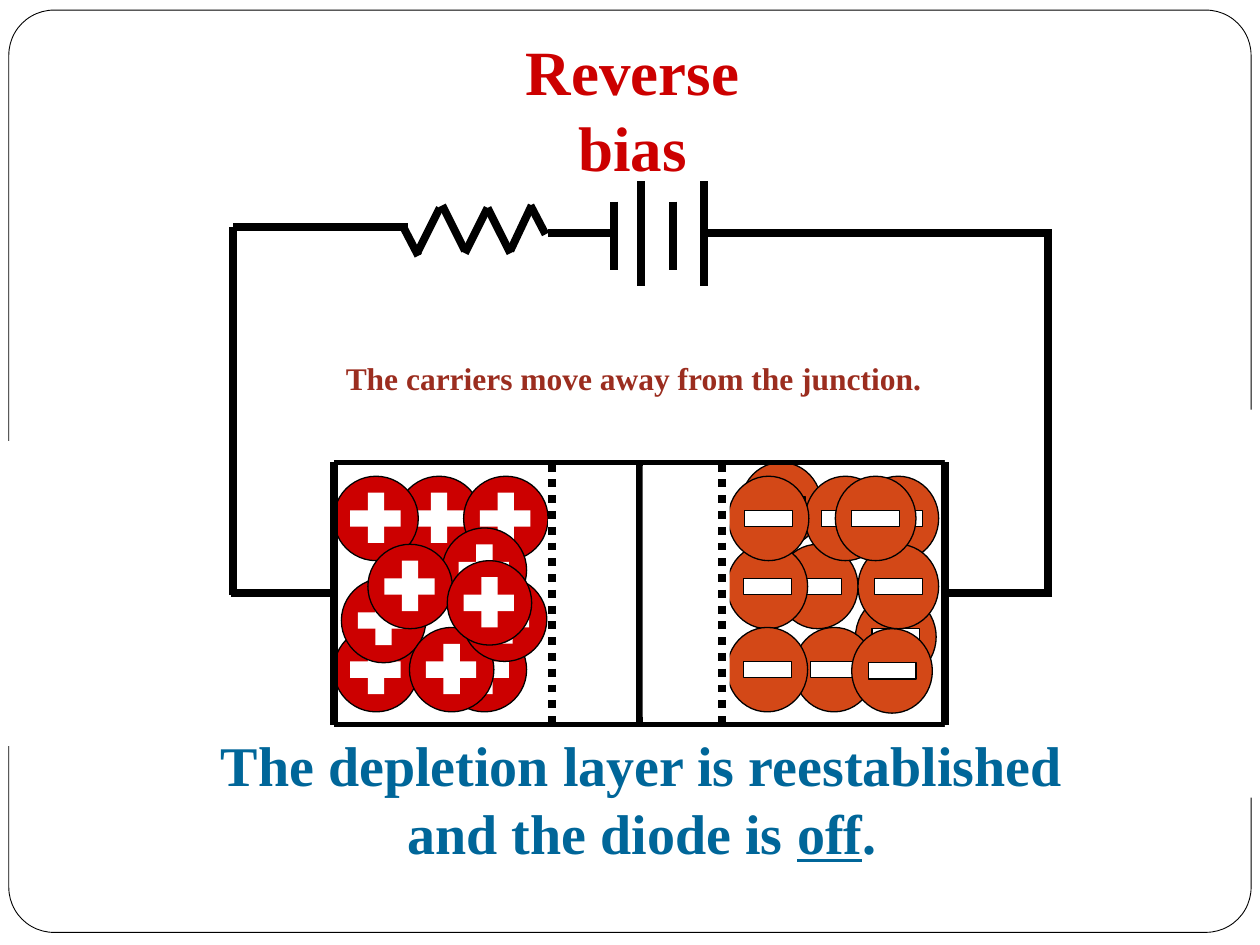
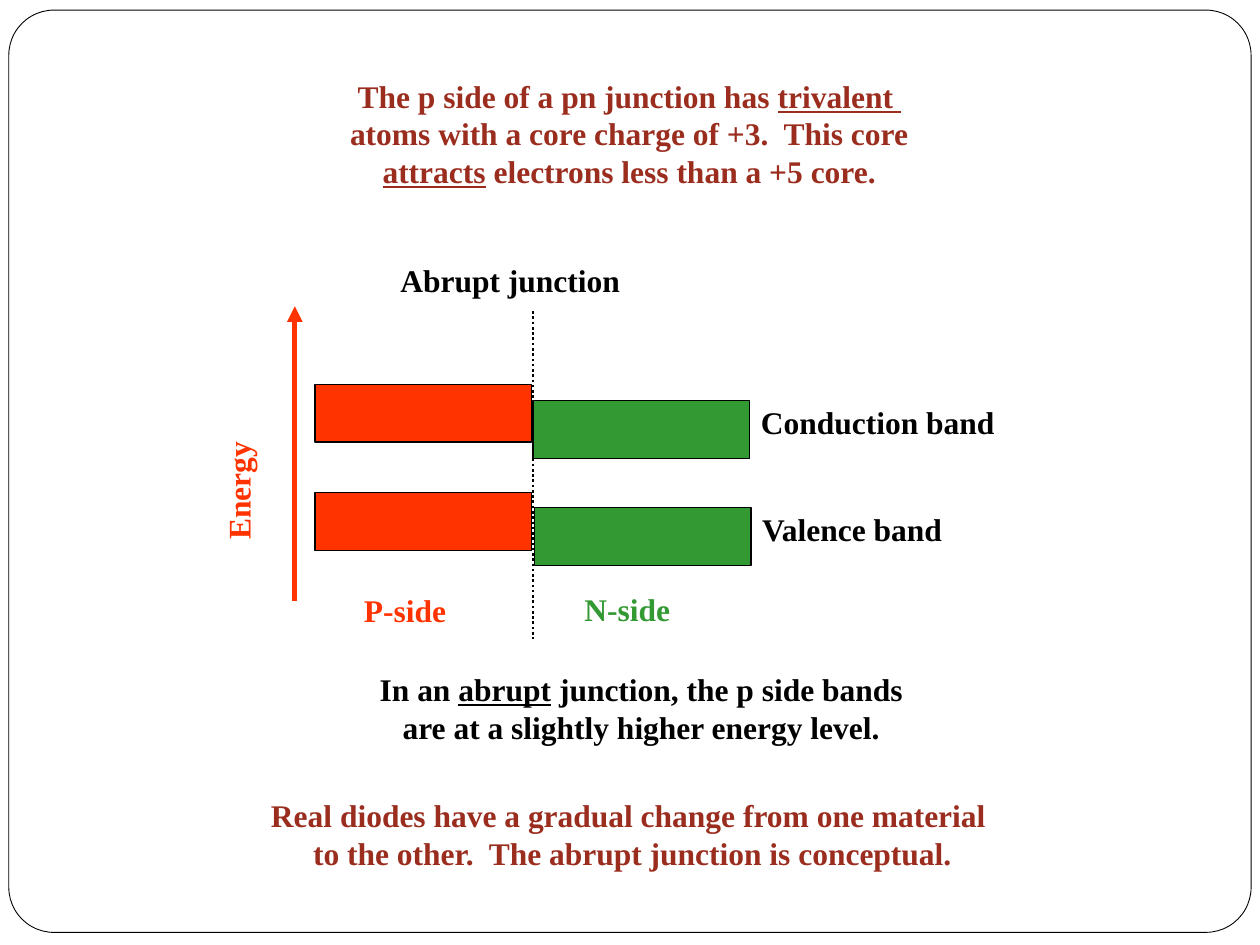
"""Builds two slides on a reverse-biased diode and the energy bands of an abrupt junction."""
from dataclasses import dataclass

from pptx import Presentation
from pptx.dml.color import RGBColor
from pptx.enum import dml, shapes, text
from pptx.oxml.ns import qn
from pptx import util as u
from lxml import etree

PX = 9144


@dataclass(frozen=True)
class Theme:
    """Colours, type sizes and line widths of the deck."""
    font: str = "Times New Roman"
    black: str = "000000"
    white: str = "FFFFFF"
    title: str = "CC0000"
    note: str = "9B2D1F"
    conclusion: str = "006699"
    hole: str = "CC0000"
    electron: str = "D34817"
    p_side: str = "FF3300"
    n_side: str = "339933"
    title_size: int = 36
    conclusion_size: int = 32
    body_size: int = 18
    hairline: float = 0.5
    outline: float = 0.75
    dotted: float = 1.5
    medium: float = 3
    wire: float = 4.5


class Sketch:
    """Draws styled elements on the current slide."""

    def __init__(self, theme):
        """Starts an empty deck of 1000 by 750 px."""
        self.theme = theme
        self.deck = Presentation()
        self.deck.slide_width, self.deck.slide_height = 1000 * PX, 750 * PX
        self.page = None

    def new_page(self, title=None, at=None):
        """Adds a slide, with a title when one is given."""
        self.page = self.deck.slides.add_slide(self.deck.slide_layouts[5 if title else 6])
        if title:
            box = self.page.shapes.title
            box.left, box.top, box.width, box.height = (n * PX for n in at)
            self.set_text(box, [title], self.theme.title, self.theme.title_size,
                          centred=True, middle=True)

    def frame(self):
        """Puts the rounded frame on the slide master."""
        frame = self.shape((7, 8, 986, 732), self.theme.white, self.theme.hairline,
                           kind=shapes.MSO_SHAPE.ROUNDED_RECTANGLE)
        frame.adjustments[0] = 0.049
        frame.element.nvSpPr.cNvPr.set("id", "100")
        self.deck.slide_master.shapes.element.insert(2, frame.element)

    def shape(self, at, fill=None, width=None, kind=shapes.MSO_SHAPE.RECTANGLE, parent=None):
        """Adds a preset shape with an optional fill and black outline."""
        shape = (parent or self.page).shapes.add_shape(kind, *(n * PX for n in at))
        shape.shadow.inherit = False
        if fill:
            shape.fill.solid()
            shape.fill.fore_color.rgb = RGBColor.from_string(fill)
        else:
            shape.fill.background()
        if width:
            shape.line.color.rgb = RGBColor.from_string(self.theme.black)
            shape.line.width = u.Pt(width)
        else:
            shape.line.fill.background()
        return shape

    def line(self, x1, y1, x2, y2, width=None, colour=None, dotted=False, arrow=False):
        """Adds a straight line."""
        line = self.page.shapes.add_connector(
            shapes.MSO_CONNECTOR.STRAIGHT, *(n * PX for n in (x1, y1, x2, y2)))
        line.line.color.rgb = RGBColor.from_string(colour or self.theme.black)
        line.line.width = u.Pt(width or self.theme.wire)
        if dotted:
            line.line.dash_style = dml.MSO_LINE.ROUND_DOT
        properties = line.element.spPr
        if arrow:
            etree.SubElement(properties.find(qn("a:ln")), qn("a:tailEnd"), type="triangle")
        etree.SubElement(properties, qn("a:effectLst"))
        return line

    def carrier(self, x, y, size, colour, bars, bar_width=None):
        """Adds a charge carrier, a disc with its sign made of bars."""
        group = self.page.shapes.add_group_shape()
        self.shape((x, y, *size), colour, self.theme.outline, shapes.MSO_SHAPE.OVAL, group)
        for dx, dy, width, height in bars:
            self.shape((x + dx, y + dy, width, height), self.theme.white, bar_width, parent=group)

    def label(self, at, lines, colour, size=None, centred=False, middle=False, rotation=0):
        """Adds a text box."""
        box = self.page.shapes.add_textbox(*(n * PX for n in at))
        box.rotation = rotation
        self.set_text(box, lines, colour, size or self.theme.body_size, centred, middle)

    def set_text(self, box, lines, colour, size, centred=False, middle=False):
        """Fills a box with bold lines, underlining what stands between underscores."""
        frame = box.text_frame
        frame.word_wrap = False
        frame.auto_size = text.MSO_AUTO_SIZE.SHAPE_TO_FIT_TEXT
        frame.vertical_anchor = text.MSO_ANCHOR.MIDDLE if middle else text.MSO_ANCHOR.TOP
        for index, line in enumerate(lines):
            para = frame.add_paragraph() if index else frame.paragraphs[0]
            para.alignment = text.PP_ALIGN.CENTER if centred else text.PP_ALIGN.LEFT
            para.font.name, para.font.size, para.font.bold = self.theme.font, u.Pt(size), True
            para.font.color.rgb = RGBColor.from_string(colour)
            for part, words in enumerate(line.split("_")):
                if words:
                    span = para.add_run()
                    span.text = words
                    if part % 2:
                        span.font.underline = True


def draw_carriers(sketch):
    """Draws the electrons on the n side and the holes on the p side."""
    theme = sketch.theme
    electrons = [(679, 472), (588, 367), (630, 498), (617, 432), (577, 432), (681, 378),
                 (639, 378), (578, 378), (577, 498), (681, 432), (663, 378), (676, 499)]
    holes = [(315, 378), (265, 378), (368, 378), (265, 498), (271, 459), (351, 498),
             (351, 419), (292, 432), (325, 498), (367, 458), (355, 445)]
    for x, y in electrons:
        sketch.carrier(x, y, (64, 67), theme.electron, [(13, 27, 38, 13)], theme.outline)
    for x, y in holes:
        sketch.carrier(x, y, (67, 67), theme.hole, [(13, 27, 40, 13), (27, 13, 13, 40)])


def draw_circuit(sketch, p_box, n_box):
    """Draws the battery, the resistor and the wires to the diode."""
    for x, top, bottom in [(487, 160, 214), (509, 144, 227), (534, 160, 214), (559, 144, 227)]:
        sketch.line(x, top, x, bottom)
    resistor = [(320, 180, 332, 203), (331, 201, 349, 165), (351, 163, 369, 199),
                (369, 201, 387, 165), (387, 165, 405, 201), (405, 199, 422, 163),
                (421, 163, 433, 186)]
    wires = [(324, 180, 185, 180), (185, 180, 185, 472), (435, 185, 487, 185),
             (562, 185, 835, 185), (832, 185, 832, 472)]
    for ends in resistor + wires:
        sketch.line(*ends)
    sketch.line(183, 471, 265, 471).end_connect(p_box, 1)
    sketch.line(835, 471, 750, 471).end_connect(n_box, 3)
    for x in (265, 750):
        sketch.line(x, 367, x, 575)


def reverse_bias(sketch):
    """Builds the slide on reverse bias."""
    theme = sketch.theme
    sketch.new_page("Reverse bias", (358, 51, 288, 70))
    sketch.frame()
    draw_carriers(sketch)
    p_box, n_box = (sketch.shape((x, 367, 243, 208), width=theme.medium) for x in (265, 507))
    for margin in [(0, 350, 265, 242), (750, 325, 250, 308)]:
        sketch.shape(margin, theme.white)
    draw_circuit(sketch, p_box, n_box)
    sketch.label((188, 275, 630, 50), ["The carriers move away from the junction."],
                 theme.note, centred=True, middle=True)
    sketch.label((165, 575, 689, 117),
                 ["The depletion layer is reestablished", "and the diode is _off_."],
                 theme.conclusion, theme.conclusion_size, centred=True, middle=True)
    for depleted_x in (435, 510):
        sketch.shape((depleted_x, 370, 69, 199), theme.white)
    for edge_x in (438, 573):
        sketch.line(edge_x, 368, edge_x, 573, dotted=True)


def abrupt_junction(sketch):
    """Builds the slide on the energy bands."""
    theme = sketch.theme
    sketch.new_page()
    sketch.label((193, 56, 613, 130),
                 ["The p side of a pn junction has _trivalent _",
                  "atoms with a core charge of +3.  This core",
                  "_attracts_ electrons less than a +5 core."], theme.note, centred=True)
    sketch.label((132, 351, 124, 50), ["Energy"], theme.p_side, rotation=270)
    for y in (305, 391):
        sketch.shape((250, y, 172, 46), theme.p_side, theme.outline)
    sketch.line(423, 247, 423, 507, theme.dotted, dotted=True)
    sketch.line(234, 477, 234, 243, theme.medium, theme.p_side, arrow=True)
    for x, y, name in [(423, 318, "Conduction band"), (424, 403, "Valence band")]:
        sketch.shape((x, y, 172, 46), theme.n_side, theme.outline)
        sketch.label((x + 171, y - 3, 268, 50), [name], theme.black)
    sketch.label((308, 202, 253, 50), ["Abrupt junction"], theme.black)
    sketch.label((279, 464, 107, 50), ["P-side"], theme.p_side)
    sketch.label((454, 463, 111, 50), ["N-side"], theme.n_side)
    sketch.label((222, 527, 574, 90),
                 ["In an _abrupt_ junction, the p side bands",
                  "are at a slightly higher energy level."], theme.black, centred=True)
    sketch.label((109, 627, 786, 90),
                 ["Real diodes have a gradual change from one material ",
                  "to the other.  The abrupt junction is conceptual."], theme.note, centred=True)


def main():
    """Builds and saves the deck."""
    sketch = Sketch(Theme())
    reverse_bias(sketch)
    abrupt_junction(sketch)
    sketch.deck.save("out.pptx")


if __name__ == "__main__":
    main()
